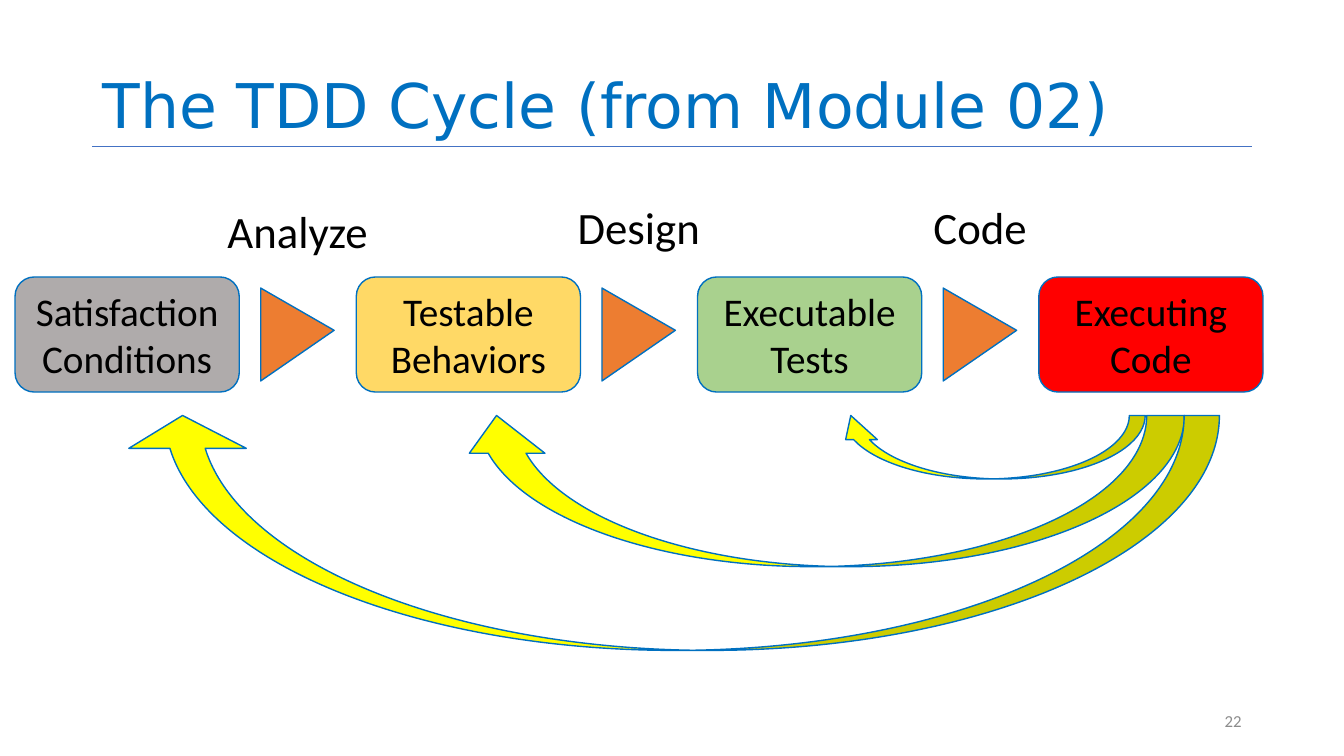
from dataclasses import dataclass

from lxml import etree
from pptx import Presentation
from pptx.dml.color import RGBColor
from pptx.enum.shapes import MSO_CONNECTOR, MSO_SHAPE
from pptx.enum.text import MSO_ANCHOR, MSO_AUTO_SIZE, PP_ALIGN
from pptx.oxml.ns import qn
from pptx.util import Cm, Pt

STRAIGHT = MSO_CONNECTOR.STRAIGHT
ROUNDED = MSO_SHAPE.ROUNDED_RECTANGLE
TRIANGLE = MSO_SHAPE.ISOSCELES_TRIANGLE
CURVED_ARROW = MSO_SHAPE.CURVED_LEFT_ARROW
MIDDLE, BOTTOM = MSO_ANCHOR.MIDDLE, MSO_ANCHOR.BOTTOM
LEFT, CENTER, RIGHT = PP_ALIGN.LEFT, PP_ALIGN.CENTER, PP_ALIGN.RIGHT
NO_AUTOFIT = MSO_AUTO_SIZE.NONE
TITLE_ONLY = 5


@dataclass(frozen=True)
class Theme:
    title_font: str = "DejaVu Sans"
    body_font: str = "Calibri"
    title_size: int = 44
    label_size: int = 32
    box_size: int = 28
    number_size: int = 12
    accent: str = "0070C0"
    rule: str = "4472C4"
    text: str = "000000"
    muted: str = "8C8C8C"
    step: str = "ED7D31"
    feedback: str = "FFFF00"
    conditions: str = "AFABAB"
    behaviors: str = "FFD966"
    tests: str = "A9D18E"
    code: str = "FF0000"


class SlideBuilder:
    def __init__(self, slide, theme):
        self.slide = slide
        self.theme = theme

    def set_text(self, shape, text, size, color, alignment, anchor=MIDDLE, font=None):
        frame = shape.text_frame
        frame.word_wrap = True
        frame.auto_size = NO_AUTOFIT
        frame.vertical_anchor = anchor
        frame.text = text
        paragraph = frame.paragraphs[0]
        paragraph.alignment = alignment
        paragraph.font.name = font or self.theme.body_font
        paragraph.font.size = Pt(size)
        paragraph.font.color.rgb = RGBColor.from_string(color)
        return paragraph

    def title(self, text, left, top, width, height):
        shape = self.slide.shapes.title
        shape.left, shape.top = Cm(left), Cm(top)
        shape.width, shape.height = Cm(width), Cm(height)
        paragraph = self.set_text(shape, text, self.theme.title_size, self.theme.accent,
                                  LEFT, BOTTOM, self.theme.title_font)
        paragraph.line_spacing = 0.9

    def rule(self, left, top, width):
        line = self.slide.shapes.add_connector(
            STRAIGHT, Cm(left), Cm(top), Cm(left + width), Cm(top))
        line.line.color.rgb = RGBColor.from_string(self.theme.rule)
        line.line.width = Pt(0.5)
        etree.SubElement(line._element.spPr, qn("a:effectLst"))

    def label(self, text, left, top, width, height, size, color, alignment=CENTER):
        shape = self.slide.shapes.add_textbox(Cm(left), Cm(top), Cm(width), Cm(height))
        self.set_text(shape, text, size, color, alignment)

    def outlined(self, kind, left, top, width, height, fill):
        shape = self.slide.shapes.add_shape(
            kind, Cm(left), Cm(top), Cm(width), Cm(height))
        shape.shadow.inherit = False
        shape.fill.solid()
        shape.fill.fore_color.rgb = RGBColor.from_string(fill)
        shape.line.color.rgb = RGBColor.from_string(self.theme.accent)
        shape.line.width = Pt(1)
        return shape

    def turned(self, kind, left, top, width, height, fill, adjustments):
        shape = self.outlined(kind, left + (width - height) / 2,
                              top + (height - width) / 2, height, width, fill)
        shape.rotation = 90
        for index, value in enumerate(adjustments):
            shape.adjustments[index] = value

    def stage(self, text, left, top, width, height, fill):
        shape = self.outlined(ROUNDED, left, top, width, height, fill)
        self.set_text(shape, text, self.theme.box_size, self.theme.text, CENTER)

    def step(self, text, left, label_top):
        self.turned(TRIANGLE, left, 7.26, 1.85, 2.34, self.theme.step, [0.455])
        self.label(text, left - 2.12, label_top, 6.1, 1.52,
                   self.theme.label_size, self.theme.text)

    def feedback(self, left, width, depth, adjustments):
        self.turned(CURVED_ARROW, left, 10.47, width, depth,
                    self.theme.feedback, adjustments)


def main():
    presentation = Presentation()
    presentation.slide_width, presentation.slide_height = Cm(33.87), Cm(19.05)
    slide = presentation.slides.add_slide(presentation.slide_layouts[TITLE_ONLY])
    theme = Theme()
    builder = SlideBuilder(slide, theme)

    margin, content_width, title_height = 2.33, 29.21, 3.69
    builder.rule(margin, title_height, content_width)
    builder.title("The TDD Cycle (from Module 02)", margin, 0, content_width, title_height)
    builder.label("22", 23.92, 17.66, 7.62, 1.01, theme.number_size, theme.muted, RIGHT)

    first_stage, first_step, pitch = 0.38, 6.57, 8.6
    stages = [
        ("Satisfaction Conditions", theme.conditions),
        ("Testable Behaviors", theme.behaviors),
        ("Executable Tests", theme.tests),
        ("Executing Code", theme.code),
    ]
    for index, (text, fill) in enumerate(stages):
        builder.stage(text, first_stage + index * pitch, 6.98, 5.65, 2.9, fill)

    steps = [("Analyze", 5.06), ("Design", 4.95), ("Code", 4.95)]
    for index, (text, label_top) in enumerate(steps):
        builder.step(text, first_step + index * pitch, label_top)

    builder.feedback(21.04, 7.82, 1.6, [0.25, 0.5, 0.38])
    builder.feedback(11.56, 18.29, 3.81, [0.25, 0.5, 0.25])
    builder.feedback(3.12, 27.61, 5.92, [0.15, 0.5, 0.14])

    presentation.save("out.pptx")


if __name__ == "__main__":
    main()
